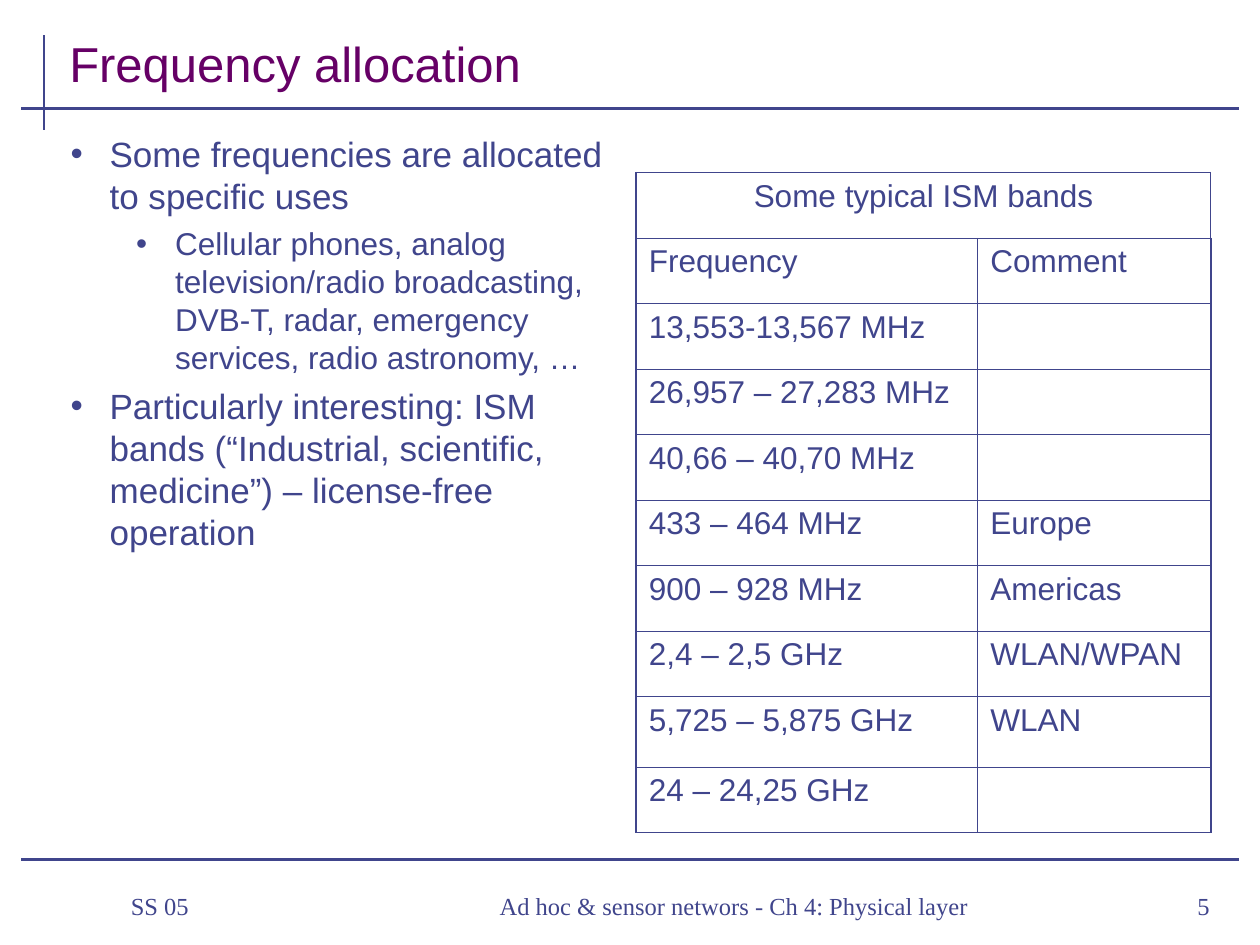
from lxml.etree import SubElement
from pptx import Presentation
from pptx.dml.color import RGBColor
from pptx.enum.shapes import MSO_CONNECTOR as Connector
from pptx.enum.text import MSO_ANCHOR as Anchor, MSO_AUTO_SIZE as AutoSize, PP_ALIGN as Align
from pptx.oxml.ns import qn
from pptx.util import Inches, Pt

INK = "40458C"
PLUM = "660066"


def color(value):
    return RGBColor.from_string(value)


def style(para, size, font="Arial", ink=INK, align=Align.LEFT):
    para.alignment = align
    para.font.size = Pt(size)
    para.font.name = font
    para.font.color.rgb = color(ink)


deck = Presentation()
deck.slide_width, deck.slide_height = Inches(10), Inches(7.5)
page = deck.slides.add_slide(deck.slide_layouts[1])

rules = [(0.35, 0.28, 0.35, 1.03), (0.17, 0.86, 9.83, 0.86), (0.17, 6.82, 9.83, 6.82)]
for ends in rules:
    rule = page.shapes.add_connector(Connector.STRAIGHT, *map(Inches, ends))
    rule.line.color.rgb = color(INK)
    rule.line.width = Pt(1.5)
    SubElement(rule._element.spPr, qn("a:effectLst"))

title, body = page.shapes.title, page.placeholders[1]
places = [(title, (0.45, 0.16, 9.33, 0.62), Anchor.BOTTOM), (body, (0.46, 1, 4.56, 5.68), Anchor.TOP)]
for holder, place, anchor in places:
    holder.left, holder.top, holder.width, holder.height = map(Inches, place)
    holder.text_frame.auto_size = AutoSize.NONE
    holder.text_frame.vertical_anchor = anchor

title.text_frame.text = "Frequency allocation"
style(title.text_frame.paragraphs[0], 28, ink=PLUM)

points = [
    (0, "Some frequencies are allocated to specific uses"),
    (1, "Cellular phones, analog television/radio broadcasting, DVB-T, radar, "
        "emergency services, radio astronomy, …"),
    (0, "Particularly interesting: ISM bands (“Industrial, scientific, medicine”) "
        "– license-free operation"),
]
body.text_frame.text = "\n".join(text for level, text in points)
for index, (para, (level, text)) in enumerate(zip(body.text_frame.paragraphs, points)):
    para.level = level
    para.space_before = Pt((5, 4.5)[level] if index else 0)
    props = para._p.get_or_add_pPr()
    props.set("marL", str(Inches((0.31, 0.83)[level])))
    props.set("indent", str(Inches(-0.31)))
    SubElement(SubElement(props, qn("a:buClr")), qn("a:srgbClr"), val=INK)
    SubElement(props, qn("a:buChar"), char="•")
    style(para, (20, 18)[level])

bands = [
    ("Some typical ISM bands", ""),
    ("Frequency", "Comment"),
    ("13,553-13,567 MHz", ""),
    ("26,957 – 27,283 MHz", ""),
    ("40,66 – 40,70 MHz", ""),
    ("433 – 464 MHz", "Europe"),
    ("900 – 928 MHz", "Americas"),
    ("2,4 – 2,5 GHz", "WLAN/WPAN"),
    ("5,725 – 5,875 GHz", "WLAN"),
    ("24 – 24,25 GHz", ""),
]
last = len(bands) - 1
frame = page.shapes.add_table(len(bands), 2, *map(Inches, (5.05, 1.37, 4.56, 5.28)))
table = frame.table
table.first_row = table.horz_banding = False
table.columns[0].width, table.columns[1].width = Inches(2.71), Inches(1.85)
for row, texts in enumerate(bands):
    table.rows[row].height = Inches(0.56 if row == last - 1 else 0.52)
    for column, text in enumerate(texts):
        cell = table.cell(row, column)
        cell.text = text
        style(cell.text_frame.paragraphs[0], 18, align=Align.LEFT if row else Align.CENTER)
        props = cell._tc.get_or_add_tcPr()
        outer = {"lnL": column == 0, "lnR": column == 1, "lnT": row == 0, "lnB": row == last}
        for side, thick in outer.items():
            edge = SubElement(props, qn("a:" + side), w=str(Pt(1.08 if thick else 0.45)))
            SubElement(SubElement(edge, qn("a:solidFill")), qn("a:srgbClr"), val=INK)
        cell.fill.background()
table.cell(0, 0).merge(table.cell(0, 1))

footers = [
    ("Ad hoc & sensor networs - Ch 4: Physical layer", 2.6, 6.21, Align.CENTER),
    ("5", 8.97, 0.73, Align.RIGHT),
    ("SS 05", 0.7, 1.74, Align.LEFT),
]
for text, left, width, align in footers:
    box = page.shapes.add_textbox(*map(Inches, (left, 6.93, width, 0.52)))
    box.text_frame.word_wrap = True
    box.text_frame.vertical_anchor = Anchor.MIDDLE
    box.text_frame.text = text
    para = box.text_frame.paragraphs[0]
    para._p.get_or_add_pPr().set("marL", str(Inches(0.24)))
    style(para, 14, "Times New Roman", align=align)

deck.save("out.pptx")
